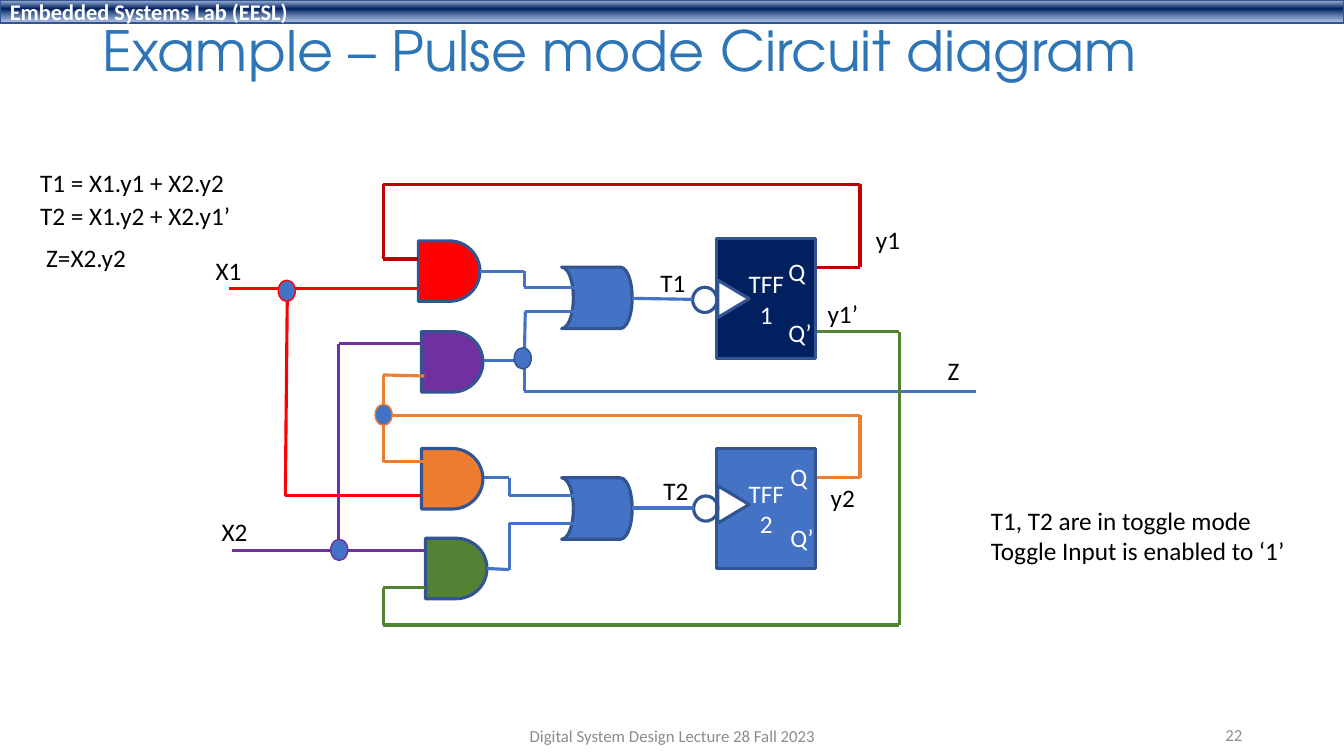
"""Build the slide showing a pulse mode circuit with two toggle flip-flops."""
from dataclasses import dataclass
from itertools import pairwise

from lxml.etree import SubElement
from pptx import Presentation
from pptx.dml.color import RGBColor
from pptx.enum.shapes import MSO_CONNECTOR, MSO_SHAPE
from pptx.enum.text import MSO_ANCHOR, MSO_AUTO_SIZE, PP_ALIGN
from pptx.oxml import parse_xml
from pptx.oxml.ns import nsdecls, qn
from pptx.util import Inches, Pt

BLACK = RGBColor(0x00, 0x00, 0x00)
WHITE = RGBColor(0xFF, 0xFF, 0xFF)
GREY = RGBColor(0x8C, 0x8C, 0x8C)
TITLE_BLUE = RGBColor(0x2E, 0x75, 0xB6)
OUTLINE = RGBColor(0x32, 0x54, 0x91)
NAVY = RGBColor(0x00, 0x20, 0x60)
BLUE = RGBColor(0x44, 0x72, 0xC4)
RED = RGBColor(0xFF, 0x00, 0x00)
DARK_RED = RGBColor(0xC0, 0x00, 0x00)
PURPLE = RGBColor(0x70, 0x30, 0xA0)
ORANGE = RGBColor(0xED, 0x7D, 0x31)
GREEN = RGBColor(0x54, 0x82, 0x35)

BODY_FONT = "Calibri"
TITLE_FONT = "TeX Gyre Adventor"
HEADER_GRADIENT = f"""<a:gradFill {nsdecls("a")} rotWithShape="1"><a:gsLst>
<a:gs pos="2000"><a:srgbClr val="ABC0E4"/></a:gs>
<a:gs pos="38000"><a:srgbClr val="002060"/></a:gs>
<a:gs pos="93000"><a:srgbClr val="7E9ED6"><a:alpha val="64000"/></a:srgbClr></a:gs>
</a:gsLst><a:lin ang="5400000" scaled="0"/></a:gradFill>"""


@dataclass
class Label:
    """Text and its place on the slide."""
    text: str
    left: float
    top: float
    width: float
    height: float = 0.4
    color: RGBColor = BLACK
    size: float = 18
    font: str = BODY_FONT
    align: PP_ALIGN = PP_ALIGN.LEFT
    middle: bool = False
    wrap: bool = False
    line_spacing: float = 1.0
    gap: float = 0


@dataclass
class Part:
    """A circuit symbol."""
    kind: MSO_SHAPE
    left: float
    top: float
    width: float
    height: float
    fill: RGBColor | None = BLUE
    rotation: float = 0
    text: str = ""
    line: RGBColor = OUTLINE
    weight: float = 2.25


@dataclass
class Wire:
    """A run of straight segments through the given points."""
    color: RGBColor
    points: list[tuple[float, float]]


def and_gate(left: float, top: float, fill: RGBColor) -> Part:
    """Describe an AND gate."""
    return Part(MSO_SHAPE.FLOWCHART_DELAY, left, top, 0.61, 0.6, fill)


def or_gate(top: float) -> Part:
    """Describe an OR gate."""
    return Part(MSO_SHAPE.FLOWCHART_STORED_DATA, 5.57, top, 0.7, 0.61, rotation=180)


def flip_flop(top: float, name: str, fill: RGBColor, clock_top: float,
              bubble: tuple[float, float]) -> list[Part]:
    """Describe a flip-flop with its clock triangle and inverting bubble."""
    return [
        Part(MSO_SHAPE.RECTANGLE, 7.11, top, 0.98, 1.19, fill, text=name),
        Part(MSO_SHAPE.FLOWCHART_EXTRACT, 7.09, clock_top, 0.37, 0.31, WHITE, 90),
        Part(MSO_SHAPE.FLOWCHART_CONNECTOR, *bubble, 0.24, 0.25, None),
    ]


def junction(left: float, top: float, line: RGBColor) -> Part:
    """Describe a wire junction dot."""
    return Part(MSO_SHAPE.OVAL, left, top, 0.17, 0.21, line=line, weight=1)


PARTS = [
    *flip_flop(2.37, "TFF\n1", NAVY, 2.81, (6.87, 2.85)),
    *flip_flop(4.45, "TFF\n2", BLUE, 4.85, (6.88, 4.92)),
    and_gate(4.15, 2.39, RED),
    and_gate(4.18, 3.29, PURPLE),
    and_gate(4.18, 4.45, ORANGE),
    and_gate(4.22, 5.34, GREEN),
    or_gate(2.65),
    or_gate(4.74),
]
WIRES = [
    Wire(BLUE, [(6.27, 2.96), (6.87, 2.97)]),
    Wire(BLUE, [(6.27, 5.04), (6.88, 5.04)]),
    Wire(BLUE, [(4.83, 5.64), (5.05, 5.65), (5.05, 5.19), (5.69, 5.19)]),
    Wire(BLUE, [(4.8, 4.74), (5.05, 4.74), (5.05, 4.92), (5.69, 4.92)]),
    Wire(BLUE, [(4.8, 3.58), (5.2, 3.58), (5.21, 3.09), (5.69, 3.09)]),
    Wire(BLUE, [(4.76, 2.69), (5.2, 2.69), (5.2, 2.85), (5.69, 2.85)]),
    Wire(BLUE, [(5.2, 3.56), (5.2, 3.88), (9.68, 3.88)]),
    Wire(ORANGE, [(8.1, 4.74), (8.53, 4.74), (8.53, 4.12), (3.8, 4.12)]),
    Wire(ORANGE, [(4.21, 3.73), (3.8, 3.72), (3.8, 4.58), (4.22, 4.58)]),
    Wire(DARK_RED, [(8.1, 2.65), (8.53, 2.65), (8.53, 1.83), (3.8, 1.83),
                    (3.8, 2.57), (4.15, 2.57)]),
    Wire(RED, [(4.15, 2.86), (2.27, 2.86)]),
    Wire(RED, [(2.85, 2.86), (2.83, 4.92), (4.18, 4.92)]),
    Wire(PURPLE, [(4.21, 5.46), (2.3, 5.46)]),
    Wire(PURPLE, [(3.36, 5.46), (3.36, 3.41), (4.22, 3.41)]),
    Wire(GREEN, [(8.1, 3.29), (8.92, 3.29), (8.92, 6.2), (3.8, 6.2),
                 (3.8, 5.83), (4.22, 5.83)]),
]
JUNCTIONS = [
    junction(3.72, 4.01, ORANGE),
    junction(3.28, 5.35, PURPLE),
    junction(2.76, 2.78, RED),
    junction(5.1, 3.45, OUTLINE),
]
LABELS = [
    Label("Example – Pulse mode Circuit diagram", 0.92, 0.15, 11.5, 0.77, TITLE_BLUE,
          39.6, TITLE_FONT, middle=True, wrap=True, line_spacing=0.9),
    Label("T1 = X1.y1 + X2.y2", 0.3, 1.61, 2.05),
    Label("T2 = X1.y2 + X2.y1’", 0.3, 1.94, 2.11),
    Label("Z=X2.y2", 0.36, 2.35, 1),
    Label("Q\nQ’", 7.72, 2.49, 0.44, 1.01, WHITE, gap=22),
    Label("Q\nQ’", 7.74, 4.53, 0.44, 1.01, WHITE, gap=22),
    Label("Z", 9.3, 3.48, 0.32),
    Label("X1", 2.04, 2.48, 0.46),
    Label("X2", 2.1, 5.07, 0.46),
    Label("T1", 6.45, 2.6, 0.45),
    Label("T2", 6.48, 4.67, 0.45),
    Label("y1", 8.59, 2.18, 0.44),
    Label("y1’", 8.11, 2.91, 0.51),
    Label("y2", 8.14, 4.74, 0.44),
    Label("T1, T2 are in toggle mode\nToggle Input is enabled to ‘1’", 9.73, 4.96, 3.15, 0.71),
    Label("Digital System Design Lecture 28 Fall 2023", 4.42, 7.1, 4.5, color=GREY, size=12,
          align=PP_ALIGN.CENTER, middle=True, wrap=True),
    Label("22", 9.42, 7.09, 3, color=GREY, size=12, align=PP_ALIGN.RIGHT,
          middle=True, wrap=True),
]


def style_text(frame, color: RGBColor, size: float, font: str, align: PP_ALIGN) -> None:
    """Format every paragraph of a text frame."""
    for para in frame.paragraphs:
        para.alignment = align
        for span in para.runs:
            span.font.name, span.font.size = font, Pt(size)
            span.font.color.rgb = color


def draw_part(page, part: Part):
    """Draw a symbol and return its shape."""
    box = page.shapes.add_shape(part.kind, Inches(part.left), Inches(part.top),
                                Inches(part.width), Inches(part.height))
    box.shadow.inherit = False
    box.rotation = part.rotation
    if part.fill is None:
        box.fill.background()
    else:
        box.fill.solid()
        box.fill.fore_color.rgb = part.fill
    box.line.color.rgb, box.line.width = part.line, Pt(part.weight)
    if part.text:
        box.text_frame.text = part.text
        box.text_frame.vertical_anchor = MSO_ANCHOR.MIDDLE
        style_text(box.text_frame, WHITE, 18, BODY_FONT, PP_ALIGN.CENTER)
    return box


def draw_header(page) -> None:
    """Draw the gradient band with the lab name."""
    band = draw_part(page, Part(MSO_SHAPE.RECTANGLE, 0, 0, 13.33, 0.23, NAVY,
                                text="Embedded Systems Lab (EESL)", weight=1))
    solid = band._element.spPr.find(qn("a:solidFill"))
    solid.getparent().replace(solid, parse_xml(HEADER_GRADIENT))
    style_text(band.text_frame, WHITE, 16, BODY_FONT, PP_ALIGN.LEFT)
    band.text_frame.paragraphs[0].runs[0].font.bold = True


def draw_wire(page, wire: Wire) -> None:
    """Draw each segment of a wire."""
    for start, end in pairwise(wire.points):
        segment = page.shapes.add_connector(
            MSO_CONNECTOR.STRAIGHT, *(Inches(value) for value in (*start, *end)))
        segment.line.color.rgb, segment.line.width = wire.color, Pt(2.25)
        SubElement(segment._element.spPr, qn("a:effectLst"))


def draw_label(page, label: Label) -> None:
    """Draw a text box."""
    box = page.shapes.add_textbox(Inches(label.left), Inches(label.top),
                                  Inches(label.width), Inches(label.height))
    frame = box.text_frame
    frame.text = label.text
    frame.word_wrap = label.wrap
    frame.auto_size = MSO_AUTO_SIZE.NONE if label.wrap else MSO_AUTO_SIZE.SHAPE_TO_FIT_TEXT
    frame.vertical_anchor = MSO_ANCHOR.MIDDLE if label.middle else MSO_ANCHOR.TOP
    style_text(frame, label.color, label.size, label.font, label.align)
    frame.paragraphs[0].line_spacing = label.line_spacing
    for para in frame.paragraphs[1:]:
        para.space_before = Pt(label.gap)


def main() -> None:
    """Build and save the deck."""
    deck = Presentation()
    deck.slide_width, deck.slide_height = Inches(13.33), Inches(7.5)
    page = deck.slides.add_slide(deck.slide_layouts[6])
    draw_header(page)
    for part in PARTS:
        draw_part(page, part)
    for wire in WIRES:
        draw_wire(page, wire)
    for dot in JUNCTIONS:
        draw_part(page, dot)
    for label in LABELS:
        draw_label(page, label)
    deck.save("out.pptx")


if __name__ == "__main__":
    main()
